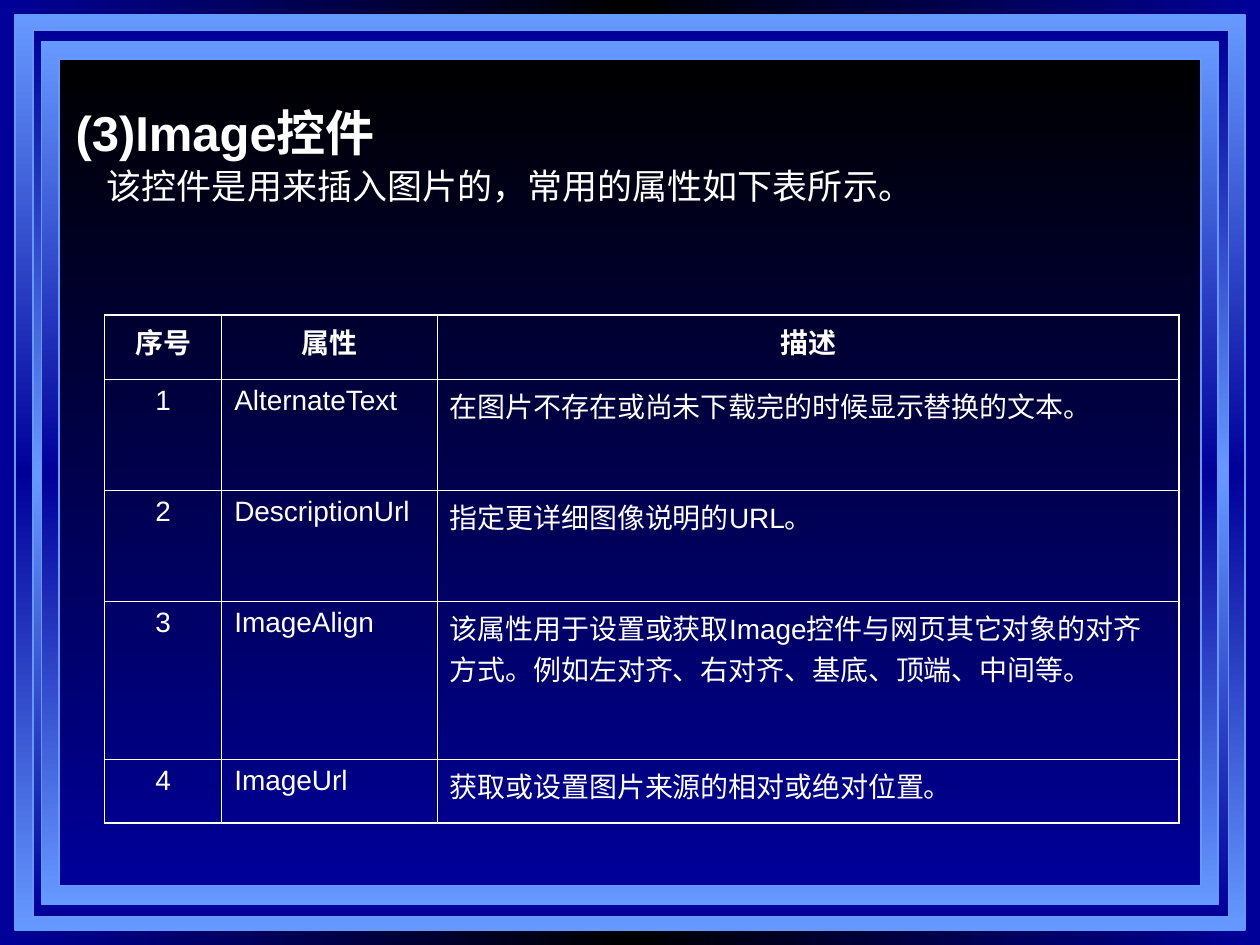
from copy import deepcopy

from lxml import etree
from pptx import Presentation
from pptx import util as u
from pptx.dml.color import RGBColor
from pptx.enum import shapes, text
from pptx.oxml import ns

WHITE = RGBColor(0xFF, 0xFF, 0xFF)
BLACK = RGBColor(0x00, 0x00, 0x00)
NAVY = RGBColor(0x00, 0x00, 0x99)
SKY = RGBColor(0x66, 0x99, 0xFF)

FRAMES = [
    ((1.2, 1.6, 97.6, 96.8), [SKY, NAVY, SKY]),
    ((2.6, 3.2, 94.9, 93.87), [NAVY, SKY, NAVY]),
    ((3.3, 4.4, 93.4, 91.33), [SKY, NAVY, SKY]),
    ((4.7, 6.27, 90.6, 87.47), [BLACK, NAVY]),
]
COLUMN_WIDTHS = [9.3, 17.1, 58.9]
ROW_HEIGHTS = [6.8, 11.75, 11.75, 16.7, 6.8]
PROPERTIES = [
    ("序号", "属性", "描述"),
    ("1", "AlternateText", "在图片不存在或尚未下载完的时候显示替换的文本。"),
    ("2", "DescriptionUrl", "指定更详细图像说明的URL。"),
    ("3", "ImageAlign", "该属性用于设置或获取Image控件与网页其它对象的对齐方式。例如左对齐、右对齐、基底、顶端、中间等。"),
    ("4", "ImageUrl", "获取或设置图片来源的相对或绝对位置。"),
]


class SlideBuilder:
    font = "Arial"
    thick, thin = 1.08, 0.45

    def __init__(self, presentation):
        self.width = presentation.slide_width
        self.height = presentation.slide_height
        self.slide = presentation.slides.add_slide(presentation.slide_layouts[5])

    def across(self, percent):
        return u.Emu(round(self.width * percent / 100))

    def down(self, percent):
        return u.Emu(round(self.height * percent / 100))

    def box(self, left, top, width, height):
        return self.across(left), self.down(top), self.across(width), self.down(height)

    def gradient(self, fill, element, colors, angle):
        fill.gradient()
        fill.gradient_angle = angle
        stops = element.xpath(".//a:gsLst")[0]
        while len(stops) < len(colors):
            stops.append(deepcopy(stops[0]))
        for index, (stop, color) in enumerate(zip(fill.gradient_stops, colors)):
            stop.position = index / (len(colors) - 1)
            stop.color.rgb = color

    def background(self, colors):
        self.gradient(self.slide.background.fill, self.slide.element, colors, 0)

    def frame(self, place, colors):
        shape = self.slide.shapes.add_shape(shapes.MSO_SHAPE.RECTANGLE, *self.box(*place))
        shape.shadow.inherit = False
        self.gradient(shape.fill, shape.element, colors, 270)
        shape.line.color.rgb = SKY
        shape.line.width = u.Pt(1)

    def style_text(self, text_frame, words, size, bold=False, align=text.PP_ALIGN.LEFT):
        text_frame.text = words
        paragraph = text_frame.paragraphs[0]
        paragraph.alignment = align
        font = paragraph.runs[0].font
        font.name, font.size, font.bold = self.font, u.Pt(size), bold
        font.color.rgb = WHITE

    def title(self, words, *place):
        title = self.slide.shapes.title
        title.left, title.top, title.width, title.height = self.box(*place)
        title.element.getparent().append(title.element)
        title.text_frame.vertical_anchor = text.MSO_ANCHOR.MIDDLE
        self.style_text(title.text_frame, words, 28, bold=True)

    def sentence(self, words, *place):
        shape = self.slide.shapes.add_textbox(*self.box(*place))
        shape.text_frame.word_wrap = True
        self.style_text(shape.text_frame, words, 20)

    def border(self, cell, side, points):
        properties = cell._tc.get_or_add_tcPr()
        line = etree.SubElement(properties, ns.qn(f"a:ln{side}"), w=str(u.Pt(points)))
        fill = etree.SubElement(line, ns.qn("a:solidFill"))
        etree.SubElement(fill, ns.qn("a:srgbClr"), val=str(WHITE))

    def table(self, left, top, widths, heights, rows):
        place = self.box(left, top, sum(widths), sum(heights))
        table = self.slide.shapes.add_table(len(rows), len(widths), *place).table
        table.first_row = table.horz_banding = False
        for column, width in zip(table.columns, widths):
            column.width = self.across(width)
        last_row, last_column = len(rows) - 1, len(widths) - 1
        for r, values in enumerate(rows):
            table.rows[r].height = self.down(heights[r])
            for c, words in enumerate(values):
                cell = table.cell(r, c)
                centred = r == 0 or c == 0
                align = text.PP_ALIGN.CENTER if centred else text.PP_ALIGN.LEFT
                self.style_text(cell.text_frame, words, 16, bold=r == 0, align=align)
                outer = {"L": c == 0, "R": c == last_column, "T": r == 0, "B": r == last_row}
                for side, is_outer in outer.items():
                    self.border(cell, side, self.thick if is_outer else self.thin)
                cell.fill.background()


def main():
    presentation = Presentation()
    presentation.slide_width, presentation.slide_height = u.Inches(10), u.Inches(7.5)
    builder = SlideBuilder(presentation)
    builder.background([NAVY, BLACK, NAVY])
    for place, colors in FRAMES:
        builder.frame(place, colors)
    builder.title("(3)Image控件", 5, 10, 89.2, 8)
    builder.sentence("该控件是用来插入图片的，常用的属性如下表所示。", 7.5, 16.8, 86.7, 6)
    builder.table(8.3, 33.33, COLUMN_WIDTHS, ROW_HEIGHTS, PROPERTIES)
    presentation.save("out.pptx")


if __name__ == "__main__":
    main()
